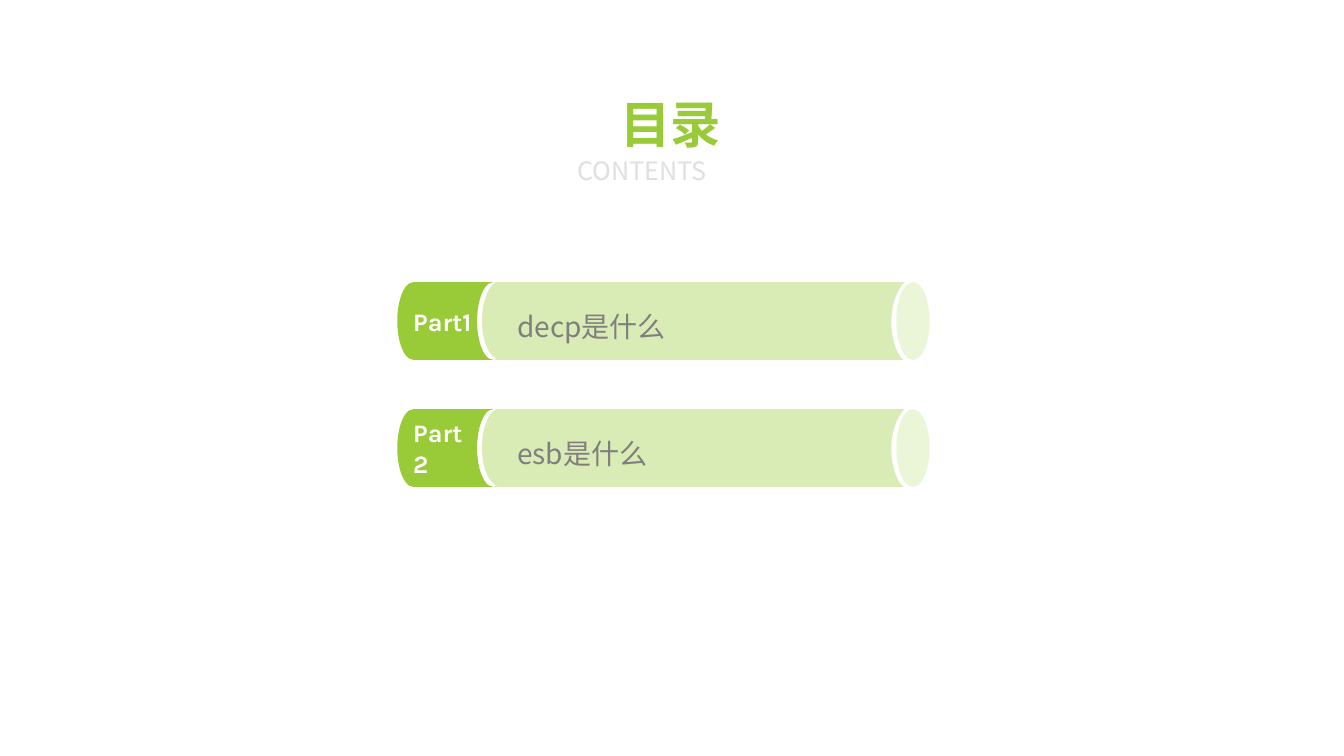
from lxml import etree
from pptx import Presentation
from pptx.dml.color import RGBColor
from pptx.enum.shapes import MSO_SHAPE
from pptx.enum.text import MSO_ANCHOR, PP_ALIGN
from pptx.oxml.ns import qn
from pptx.util import Inches, Pt

STORAGE = MSO_SHAPE.FLOWCHART_STORED_DATA
OVAL = MSO_SHAPE.OVAL
MIDDLE = MSO_ANCHOR.MIDDLE
LEFT = PP_ALIGN.LEFT
CENTER = PP_ALIGN.CENTER

COLORS = {
    "green": "99CB38",
    "bar": "D6EAAF",
    "cap": "EBF5D7",
    "gray": "7F7F7F",
    "pale": "DFDFDF",
    "white": "FFFFFF",
}
CJK_FONT = "Noto Sans CJK SC"
LABEL_FONT = "Karla"

FIRST_TOP = 2.8
ROW_PITCH = 1.26
ROW_HEIGHT = 0.77
CURVE_STEPS = 12
ITEMS = [("Part1", "decp是什么"), ("Part2", "esb是什么")]


def write_text(shape, text, font_name, size, color, bold=False, align=LEFT,
               margins=(0.1, 0.05, 0.1, 0.05), line_spacing=None):
    frame = shape.text_frame
    frame.text = text
    frame.word_wrap = True
    frame.vertical_anchor = MIDDLE
    (frame.margin_left, frame.margin_top,
     frame.margin_right, frame.margin_bottom) = map(Inches, margins)
    paragraph = frame.paragraphs[0]
    paragraph.alignment = align
    if line_spacing:
        paragraph.line_spacing = line_spacing
    font = paragraph.runs[0].font
    font.name = font_name
    font.size = Pt(size)
    font.bold = bold
    font.color.rgb = RGBColor.from_string(COLORS[color])
    latin = font._element.find(qn("a:latin"))
    east_asian = etree.Element(qn("a:ea"), typeface=font_name)
    latin.addnext(east_asian)


def paint(shape, color, opacity=None):
    shape.shadow.inherit = False
    shape.fill.solid()
    shape.fill.fore_color.rgb = RGBColor.from_string(COLORS[color])
    shape.line.fill.background()
    if opacity:
        fill_color = shape._element.spPr.find(qn("a:solidFill"))[0]
        etree.SubElement(fill_color, qn("a:alpha"), val=str(opacity * 1000))


def curve(start, control_1, control_2, end):
    points = []
    for step in range(1, CURVE_STEPS + 1):
        t = step / CURVE_STEPS
        weights = ((1 - t) ** 3, 3 * t * (1 - t) ** 2, 3 * t * t * (1 - t), t ** 3)
        corners = (start, control_1, control_2, end)
        points.append(tuple(sum(weight * corner[axis]
                                for weight, corner in zip(weights, corners))
                            for axis in (0, 1)))
    return points


def add_bar(slide, top, text):
    outline = [(4.94, 0), (8.97, 0)]
    outline += curve((8.97, 0), (8.9, 0.07), (8.84, 0.22), (8.84, 0.39))
    outline += curve((8.84, 0.39), (8.84, 0.54), (8.88, 0.67), (8.93, 0.74))
    outline += [(8.96, 0.77), (4.91, 0.77), (4.89, 0.76), (4.95, 0.76)]
    outline += curve((4.95, 0.76), (4.86, 0.76), (4.78, 0.59), (4.78, 0.38))
    outline += curve((4.78, 0.38), (4.78, 0.2), (4.84, 0.04), (4.92, 0))
    points = [(Inches(x), Inches(top + y)) for x, y in outline]
    builder = slide.shapes.build_freeform(*points[0])
    builder.add_line_segments(points[1:], close=True)
    bar = builder.convert_to_shape()
    paint(bar, "bar", opacity=90)
    write_text(bar, text, CJK_FONT, 20, "gray",
               margins=(0.35, 0, 0.16, 0), line_spacing=1.3)


def add_preset(slide, preset, left, top, width, color):
    shape = slide.shapes.add_shape(preset, Inches(left), Inches(top),
                                   Inches(width), Inches(ROW_HEIGHT))
    paint(shape, color)
    return shape


def add_row(slide, top, part, text):
    add_bar(slide, top, text)
    label = add_preset(slide, STORAGE, 3.94, top, 0.95, "green")
    write_text(label, part, LABEL_FONT, 18, "white", bold=True,
               margins=(0, 0.05, 0, 0.05))
    add_preset(slide, OVAL, 8.89, top, 0.33, "cap")


def add_heading(slide):
    title = slide.shapes.title
    title.left, title.top = Inches(5.76), Inches(0.87)
    title.width, title.height = Inches(1.78), Inches(0.71)
    write_text(title, "目录", CJK_FONT, 36, "green", bold=True, align=CENTER)
    subtitle = slide.shapes.add_textbox(Inches(5.48), Inches(1.49),
                                        Inches(1.78), Inches(0.4))
    write_text(subtitle, "CONTENTS", CJK_FONT, 18, "pale", align=CENTER)


def main():
    presentation = Presentation()
    presentation.slide_width = Inches(13.33)
    presentation.slide_height = Inches(7.5)
    slide = presentation.slides.add_slide(presentation.slide_layouts[5])
    add_heading(slide)
    for index, (part, text) in enumerate(ITEMS):
        add_row(slide, FIRST_TOP + index * ROW_PITCH, part, text)
    presentation.save("out.pptx")


if __name__ == "__main__":
    main()
